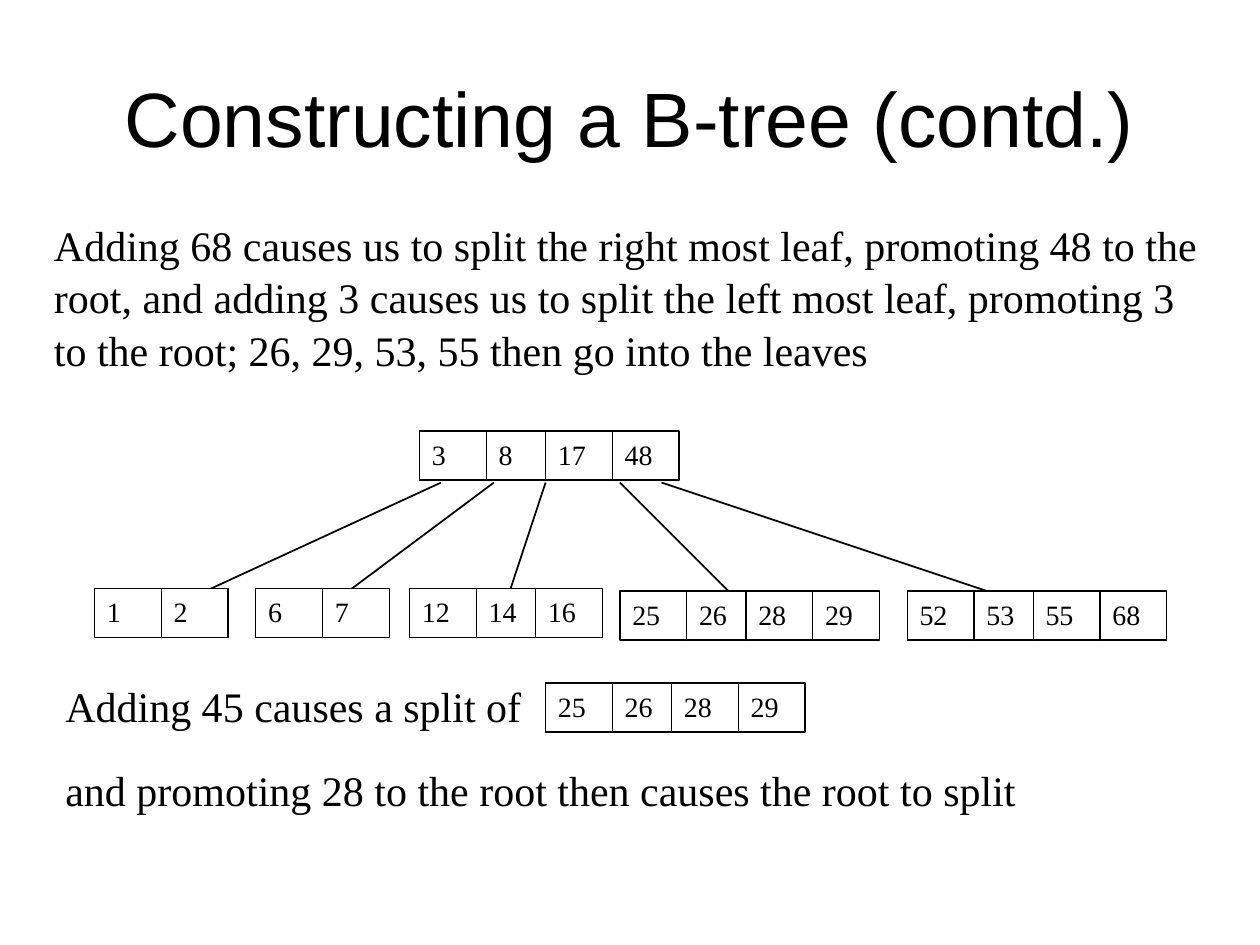
from pptx import Presentation
from pptx.dml.color import RGBColor
from pptx.enum.shapes import MSO_CONNECTOR as Connector, MSO_SHAPE as Shape
from pptx.enum.text import MSO_ANCHOR as Anchor, PP_ALIGN as Align
from pptx.oxml.ns import qn
from pptx.util import Inches, Pt
from lxml.etree import SubElement


def color(value):
    return RGBColor.from_string(value)


class TreeSlide:
    ink, paper = "000000", "FFFFFF"
    title_font, body_font = "Arial", "Times New Roman"
    cell_offsets = (0, 0.53, 1, 1.53)
    cell_width, cell_height = 0.53, 0.39

    def __init__(self, page):
        self.page = page

    def label(self, box, text, size, font=None, anchor=Anchor.TOP, **formats):
        frame = box.text_frame
        frame.word_wrap = True
        frame.vertical_anchor = anchor
        para = frame.paragraphs[0]
        for name, value in {"alignment": Align.LEFT, **formats}.items():
            setattr(para, name, value)
        span = para.add_run()
        span.text = text
        values = {"size": Pt(size), "name": font or self.body_font}
        for name, value in values.items():
            setattr(span.font, name, value)
        span.font.color.rgb = color(self.ink)

    def textbox(self, left, top, width, height):
        return self.page.shapes.add_textbox(
            Inches(left), Inches(top), Inches(width), Inches(height))

    def title(self, text, *place):
        self.label(self.textbox(*place), text, 44, self.title_font,
                   Anchor.MIDDLE, alignment=Align.CENTER)

    def body(self, text, *place):
        self.label(self.textbox(*place), text, 24, line_spacing=1.05)

    def edge(self, x1, y1, x2, y2):
        line = self.page.shapes.add_connector(
            Connector.STRAIGHT, Inches(x1), Inches(y1), Inches(x2), Inches(y2))
        line.line.color.rgb = color(self.ink)
        line.line.width = Pt(1)
        SubElement(line._element.spPr, qn("a:effectLst"))

    def node(self, left, top, keys):
        for offset, key in zip(self.cell_offsets, keys):
            cell = self.page.shapes.add_shape(
                Shape.RECTANGLE, Inches(left + offset), Inches(top),
                Inches(self.cell_width), Inches(self.cell_height))
            cell.shadow.inherit = False
            cell.fill.solid()
            cell.fill.fore_color.rgb = color(self.paper)
            cell.line.color.rgb = color(self.ink)
            cell.line.width = Pt(0.75)
            self.label(cell, str(key), 16)


def main():
    deck = Presentation()
    deck.slide_width, deck.slide_height = Inches(10), Inches(7.5)
    slide = TreeSlide(deck.slides.add_slide(deck.slide_layouts[6]))

    # Edges from the root to the leaves, behind the nodes
    edges = [(3.5, 1.33), (3.92, 2.58), (4.33, 4), (4.92, 5.92), (5.25, 8.25)]
    for root_x, leaf_x in edges:
        slide.edge(root_x, 3.83, leaf_x, 4.83)

    # Title and explanation
    slide.title("Constructing a B-tree (contd.)", 0.5, 0.3, 9, 1.25)
    slide.body("Adding 68 causes us to split the right most leaf, promoting 48 "
               "to the root, and adding 3 causes us to split the left most "
               "leaf, promoting 3 to the root; 26, 29, 53, 55 then go into "
               "the leaves", 0.33, 1.67, 9.33, 1.3)

    # Root and leaves
    nodes = [
        (3.33, 3.42, (3, 8, 17, 48)),
        (7.2, 4.69, (52, 53, 55, 68)),
        (4.92, 4.69, (25, 26, 28, 29)),
        (0.75, 4.67, (1, 2)),
        (2.03, 4.67, (6, 7)),
        (3.25, 4.67, (12, 14, 16)),
    ]
    for left, top, keys in nodes:
        slide.node(left, top, keys)

    # Next step: splitting a leaf
    slide.body("Adding 45 causes a split of", 0.42, 5.33, 4, 0.5)
    slide.node(4.33, 5.42, (25, 26, 28, 29))
    slide.body("and promoting 28 to the root then causes the root to split",
               0.42, 6, 9.08, 0.5)

    deck.save("out.pptx")


if __name__ == "__main__":
    main()
